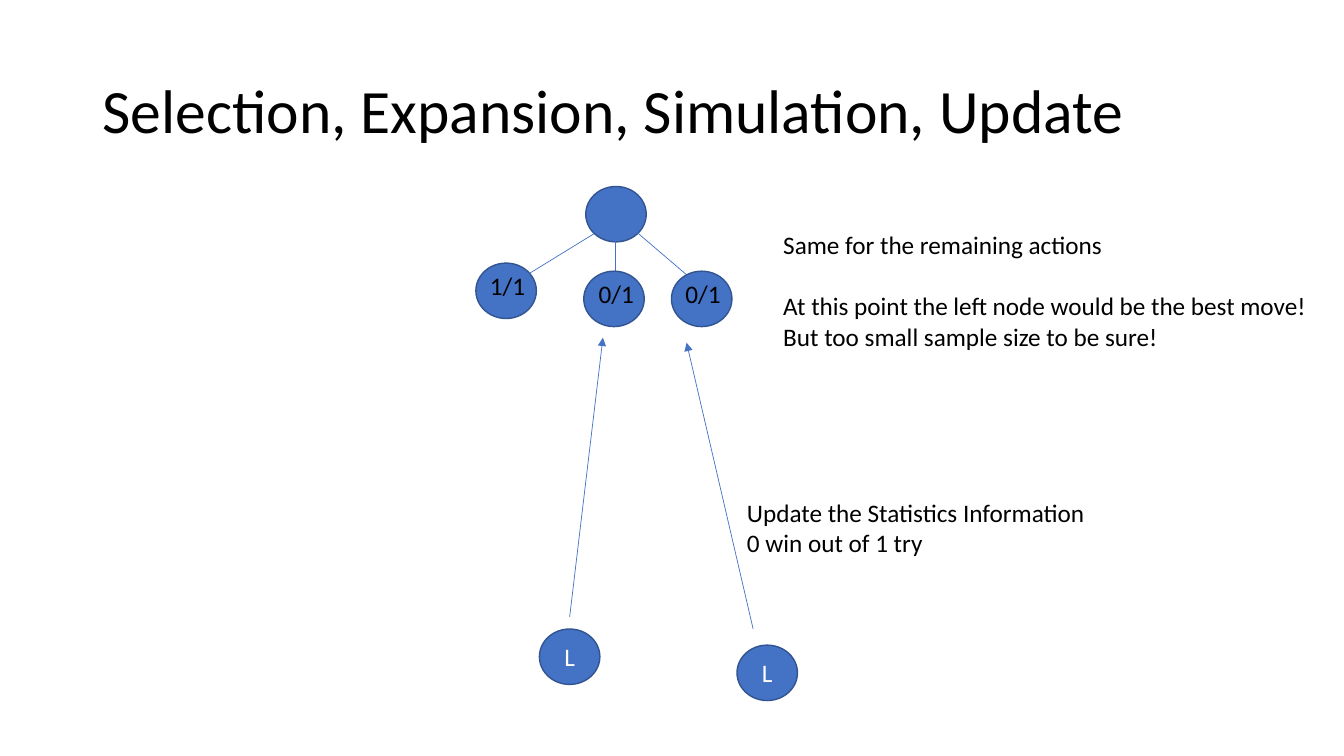
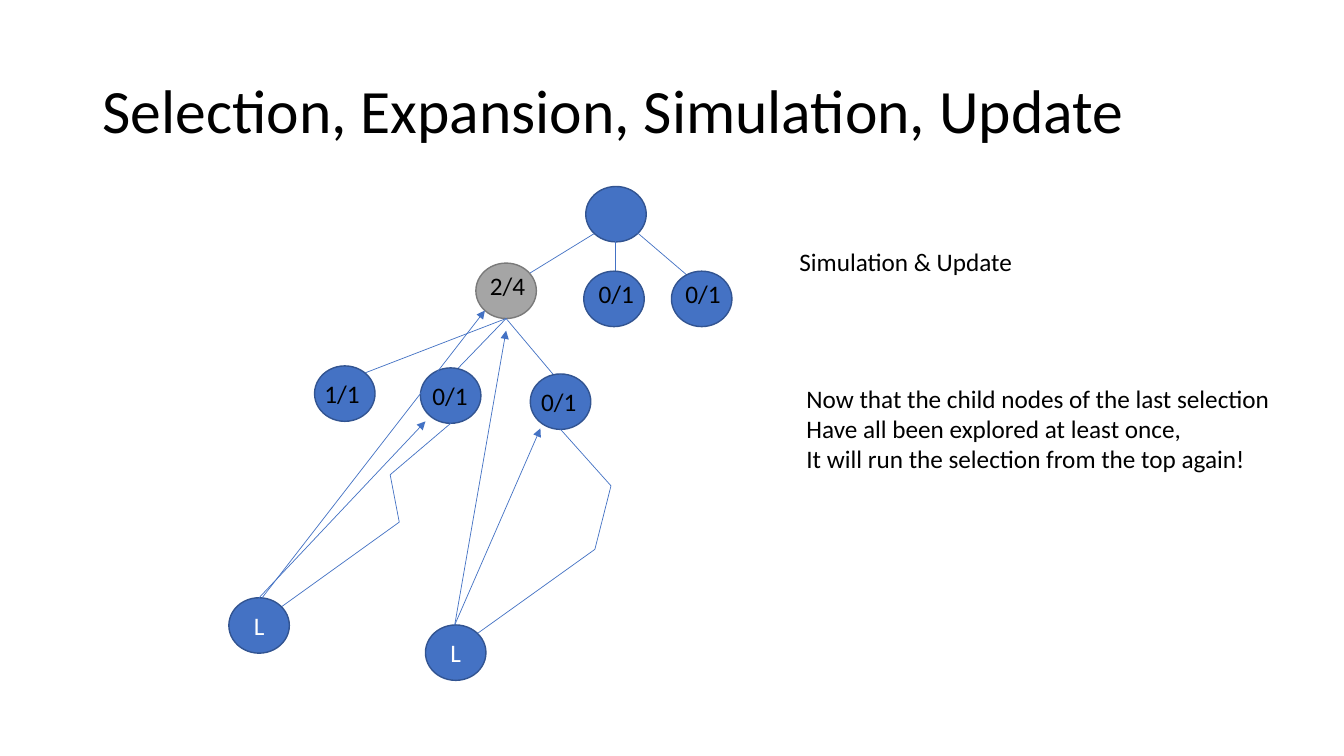
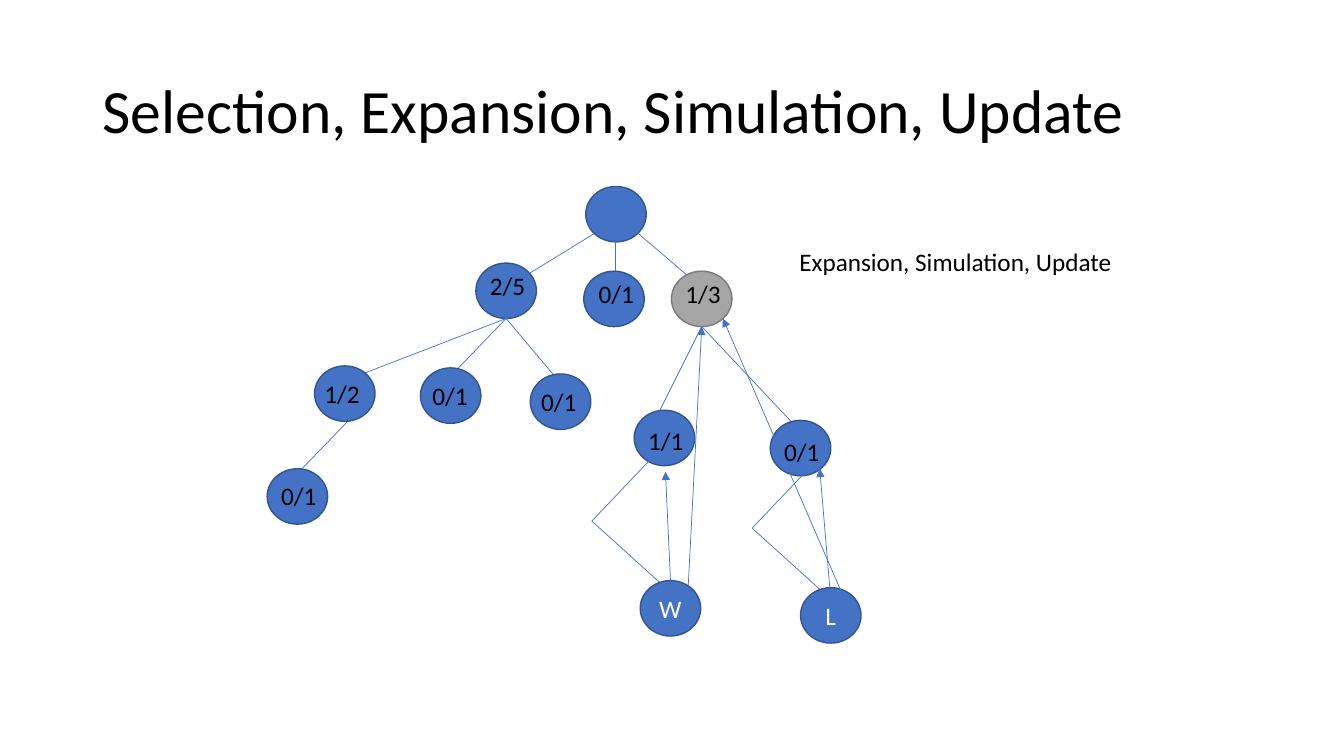
from itertools import pairwise

from lxml import etree
from pptx import Presentation
from pptx.dml.color import RGBColor
from pptx.enum.shapes import MSO_CONNECTOR, MSO_SHAPE
from pptx.enum.text import MSO_ANCHOR, PP_ALIGN
from pptx.oxml.ns import qn
from pptx.util import Emu, Pt

PX = 9144
STRAIGHT = MSO_CONNECTOR.STRAIGHT
OVAL = MSO_SHAPE.OVAL
MIDDLE, TOP = MSO_ANCHOR.MIDDLE, MSO_ANCHOR.TOP
LEFT, CENTER = PP_ALIGN.LEFT, PP_ALIGN.CENTER

FONT = "Calibri"
BLACK, WHITE, BLUE = "000000", "FFFFFF", "4472C4"
NORMAL_NODE = (BLUE, "325491")
CHOSEN_NODE = ("A5A5A5", "7A7A7A")

TITLE = "Selection, Expansion, Simulation, Update"
TITLE_BOX = (92, 40, 1150, 145)
NODE_SIZE = (60, 55)
LABEL_SIZE = (56, 40)

ROOT_AT = (581, 185)
SPLIT_AT = (502, 316)
RIGHT_SPLIT_AT = (696, 324)
LEAF_SPLIT_AT = (344, 419)

# Each child: edge start, edge end, node corner, label offset in the node.
ROOT_CHILDREN = [
    ((8, 47), (-75, 98), (-109, 76), (4, 2)),
    ((29, 21), (29, 109), (-2, 84), (5, 2)),
    ((29, 27), (118, 103), (85, 84), (4, 2)),
]
SPLIT_CHILDREN = [
    ((0, 0), (-153, 59), (-190, 47), (0, 7)),
    ((0, 0), (-57, 59), (-85, 49), (2, 7)),
    ((0, 0), (53, 63), (24, 55), (1, 7)),
]
RIGHT_CHILDREN = [
    ((0, 0), (-47, 94), (-67, 83), (4, 10)),
    ((0, 0), (96, 102), (68, 93), (4, 11)),
]
LEAF_CHILDREN = [((0, 0), (-57, 59), (-79, 46), (4, 7))]
BENT_TRAIL = [(9, -119), (-48, -59), (25, 7)]


def color(value):
    return RGBColor.from_string(value)


def shift(box, point):
    return box[0] + point[0], box[1] + point[1]


def emu(*lengths):
    return [Emu(length * PX) for length in lengths]


def assign(target, values):
    for name, value in values.items():
        setattr(target, name, value)


def write(frame, lines, size=18, ink=BLACK, align=LEFT, anchor=TOP, wrap=True, spacing=1.0):
    assign(frame, {"word_wrap": wrap, "vertical_anchor": anchor})
    for index, (line, before) in enumerate(lines):
        para = frame.add_paragraph() if index else frame.paragraphs[0]
        assign(para, {"alignment": align, "line_spacing": spacing})
        if before:
            para.space_before = Pt(before)
        span = para.add_run()
        span.text = line
        assign(span.font, {"name": FONT, "size": Pt(size)})
        span.font.color.rgb = color(ink)


def add_text(page, box, lines, **style):
    write(page.shapes.add_textbox(*emu(*box)).text_frame, lines, **style)


def add_line(page, start, end, arrow=False):
    line = page.shapes.add_connector(STRAIGHT, *emu(*start, *end))
    line.line.color.rgb = color(BLUE)
    line.line.width = Pt(0.5)
    if arrow:
        etree.SubElement(line.line._ln, qn("a:tailEnd"), type="triangle")
    etree.SubElement(line._element.spPr, qn("a:effectLst"))


def add_node(page, corner, colors=NORMAL_NODE, letter=None):
    fill, outline = colors
    node = page.shapes.add_shape(OVAL, *emu(*corner, *NODE_SIZE))
    node.shadow.inherit = False
    node.fill.solid()
    node.fill.fore_color.rgb = color(fill)
    node.line.color.rgb = color(outline)
    node.line.width = Pt(1)
    if letter:
        write(node.text_frame, [(letter, 0)], ink=WHITE, align=CENTER, anchor=MIDDLE)


def add_branches(page, box, children, scores, chosen=None):
    for start, end, _, _ in children:
        add_line(page, shift(box, start), shift(box, end))
    for index, (child, score) in enumerate(zip(children, scores)):
        corner = shift(box, child[2])
        add_node(page, corner, CHOSEN_NODE if index == chosen else NORMAL_NODE)
        add_text(page, (*shift(corner, child[3]), *LABEL_SIZE), [(score, 0)], wrap=False)


def add_rollout(page, box, result, trail, updates):
    for start, end in pairwise(trail):
        add_line(page, shift(box, start), shift(box, end))
    add_node(page, box, letter=result)
    for start, end in updates:
        add_line(page, shift(box, start), shift(box, end), arrow=True)


def add_page(deck, scores, chosen=None):
    page = deck.slides.add_slide(deck.slide_layouts[6])
    add_text(page, TITLE_BOX, [(TITLE, 0)], size=44, anchor=MIDDLE, spacing=0.9)
    add_node(page, ROOT_AT)
    add_branches(page, ROOT_AT, ROOT_CHILDREN, scores, chosen)
    return page


def add_first_update(deck):
    page = add_page(deck, ["1/1", "0/1", "0/1"])
    add_text(page, (767, 223, 546, 131), [
        ("Same for the remaining actions", 0),
        ("At this point the left node would be the best move!", 22),
        ("But too small sample size to be sure!", 0),
    ])
    add_text(page, (731, 488, 365, 71), [
        ("Update the Statistics Information", 0),
        ("0 win out of 1 try", 0),
    ])
    add_rollout(page, (535, 624), "L", [], [((30, -12), (63, -289))])
    add_rollout(page, (731, 640), "L", [], [((16, -16), (-50, -300))])


def add_explored_children(deck):
    page = add_page(deck, ["2/4", "0/1", "0/1"], chosen=0)
    add_text(page, (783, 239, 239, 71), [("Simulation & Update", 0)])
    add_text(page, (790, 375, 485, 101), [
        ("Now that the child nodes of the last selection", 0),
        ("Have all been explored at least once,", 0),
        ("It will run the selection from the top again!", 0),
    ])
    add_branches(page, SPLIT_AT, SPLIT_CHILDREN, ["1/1", "0/1", "0/1"])
    add_rollout(page, (227, 593), "L",
                [(220, -173), (160, -122), (169, -75), (41, 17)],
                [((30, 0), (195, -175)), ((33, 0), (254, -285))])
    add_rollout(page, (422, 620), "L",
                [(134, -194), (184, -138), (168, -75), (41, 16)],
                [((29, 0), (114, -195)), ((29, 0), (80, -292))])


def add_right_expansion(deck):
    page = add_page(deck, ["2/5", "0/1", "1/3"], chosen=2)
    add_text(page, (783, 239, 333, 71), [("Expansion, Simulation, Update", 0)])
    add_branches(page, SPLIT_AT, SPLIT_CHILDREN, ["1/2", "0/1", "0/1"])
    add_branches(page, LEAF_SPLIT_AT, LEAF_CHILDREN, ["0/1"])
    add_branches(page, RIGHT_SPLIT_AT, RIGHT_CHILDREN, ["1/1", "0/1"])
    add_rollout(page, (794, 583), "L", BENT_TRAIL,
                [((29, 0), (19, -118)), ((46, 17), (-77, -267))])
    add_rollout(page, (635, 576), "W", BENT_TRAIL,
                [((30, 0), (25, -108)), ((47, 17), (61, -252))])


def main():
    deck = Presentation()
    deck.slide_width, deck.slide_height = emu(1333, 750)
    add_first_update(deck)
    add_explored_children(deck)
    add_right_expansion(deck)
    deck.save("out.pptx")


if __name__ == "__main__":
    main()
